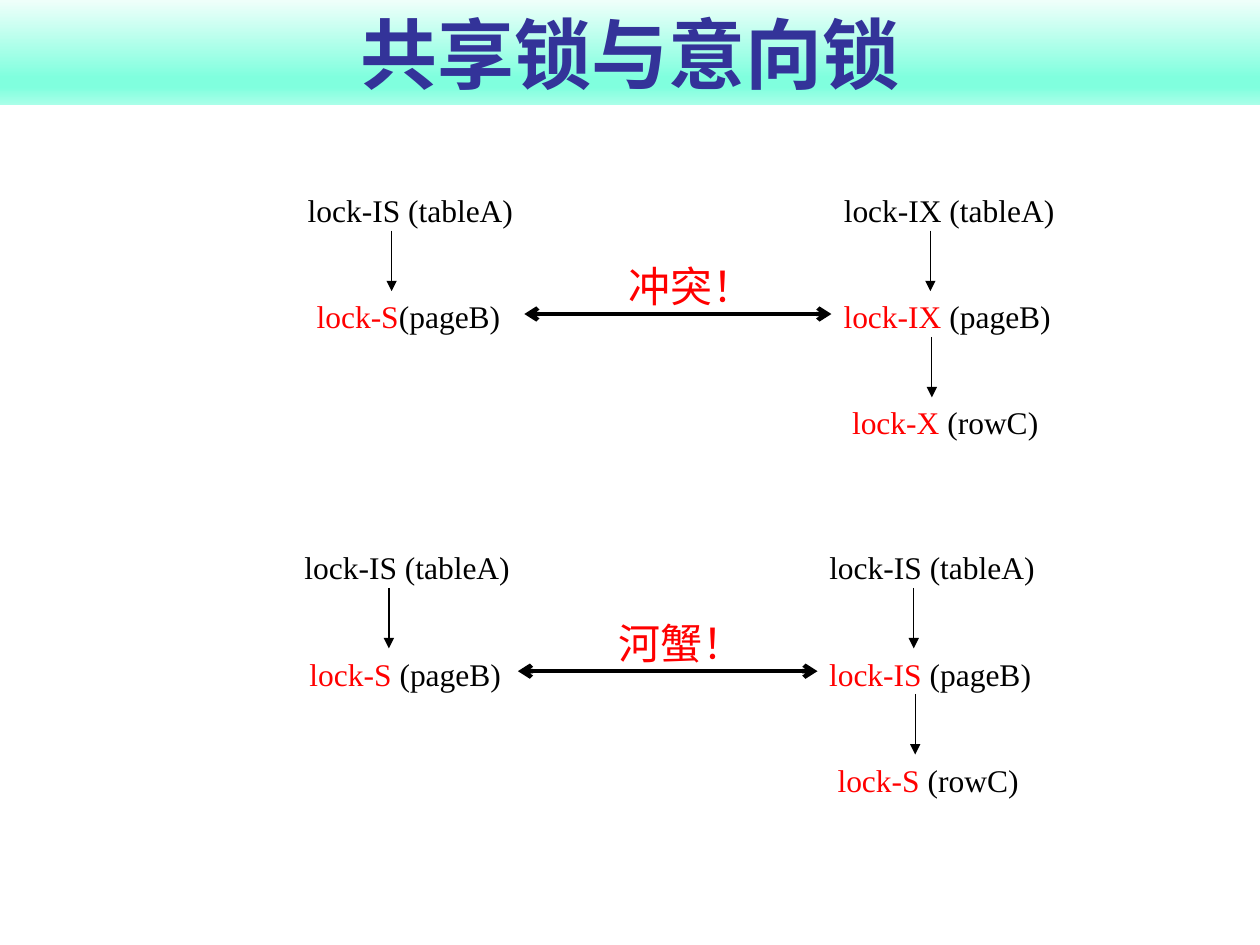
from lxml.etree import SubElement
from pptx import Presentation
from pptx.dml.color import RGBColor
from pptx.enum.shapes import MSO_CONNECTOR as Connector
from pptx.enum.text import MSO_ANCHOR as Anchor, MSO_AUTO_SIZE as AutoSize, PP_ALIGN as Align
from pptx.oxml.ns import qn
from pptx.util import Cm, Pt

BLACK = RGBColor(0x00, 0x00, 0x00)
RED = RGBColor(0xFF, 0x00, 0x00)
NAVY = RGBColor(0x33, 0x33, 0x99)
MINT = RGBColor(0x80, 0xFF, 0xDE)
BANNER_STOPS = [
    (0, RGBColor(0xF1, 0xFF, 0xFB)),
    (74, MINT),
    (83, MINT),
    (100, RGBColor(0xAA, 0xFF, 0xE9)),
]
SERIF = "Times New Roman"
SANS = "Cabin"
LINE_HEIGHT = 0.92
STEP = 2.14


def add_text(para, text, font=SERIF, size=18, color=BLACK, bold=False):
    para.alignment = Align.CENTER
    span = para.add_run()
    span.text = text
    span.font.name = font
    span.font.size = Pt(size)
    span.font.bold = bold
    span.font.color.rgb = color
    SubElement(span.font._element, qn("a:ea"), typeface=font)


def add_box(page, left, top, width, height, wrap=False):
    box = page.shapes.add_textbox(Cm(left), Cm(top), Cm(width), Cm(height))
    frame = box.text_frame
    frame.word_wrap = wrap
    frame.margin_left = frame.margin_right = Cm(0)
    return box


def add_arrow(page, start, end, width=0.75, head=None, tail="triangle"):
    arrow = page.shapes.add_connector(
        Connector.STRAIGHT, Cm(start[0]), Cm(start[1]), Cm(end[0]), Cm(end[1]))
    arrow.line.color.rgb = BLACK
    arrow.line.width = Pt(width)
    line = arrow.line._get_or_add_ln()
    if head:
        SubElement(line, qn("a:headEnd"), type=head)
    SubElement(line, qn("a:tailEnd"), type=tail)
    SubElement(arrow._element.spPr, qn("a:effectLst"))
    return arrow


def add_banner(page, text, left, top, width, height):
    title = page.shapes.title
    title.left, title.top, title.width, title.height = map(Cm, (left, top, width, height))
    gradient = SubElement(title._element.spPr, qn("a:gradFill"), rotWithShape="1")
    stops = SubElement(gradient, qn("a:gsLst"))
    for percent, color in BANNER_STOPS:
        stop = SubElement(stops, qn("a:gs"), pos=str(percent * 1000))
        SubElement(stop, qn("a:srgbClr"), val=str(color))
    SubElement(gradient, qn("a:lin"), ang="5400000", scaled="0")
    frame = title.text_frame
    frame.auto_size = AutoSize.NONE
    frame.vertical_anchor = Anchor.BOTTOM
    add_text(frame.paragraphs[0], text, font=SANS, size=44, color=NAVY, bold=True)


def add_lock_chain(page, left, top, width, locks):
    boxes = []
    for row, (lock, target) in enumerate(locks):
        y = top + row * STEP
        box = add_box(page, left, y, width - row * 0.08, LINE_HEIGHT)
        para = box.text_frame.paragraphs[0]
        add_text(para, lock, color=RED if row else BLACK)
        add_text(para, target)
        if row:
            x = left + width * 0.42 + (row - 1) * 0.03
            add_arrow(page, (x, y - STEP + LINE_HEIGHT), (x, y))
        boxes.append(box)
    return boxes


def add_comparison(page, left, top, right, width, verdict, left_locks, right_locks):
    left_page = add_lock_chain(page, left, top, width, left_locks)[1]
    right_page = add_lock_chain(page, right, top, width, right_locks)[1]
    middle = top + STEP + LINE_HEIGHT / 2
    link = add_arrow(page, (left + width, middle), (right, middle),
                     width=2.5, head="arrow", tail="arrow")
    link.begin_connect(left_page, 3)
    link.end_connect(right_page, 1)
    label_width = width * 0.8
    label_left = (left + width + right) / 2 - label_width / 2 + 0.23
    label = add_box(page, label_left, middle - 1.2, label_width, 1.27, wrap=True)
    add_text(label.text_frame.paragraphs[0], verdict, font=SANS, size=24, color=RED)


def main():
    deck = Presentation()
    deck.slide_width, deck.slide_height = Cm(25.4), Cm(19.05)
    page = deck.slides.add_slide(deck.slide_layouts[5])
    add_banner(page, "共享锁与意向锁", 0, -0.02, 25.4, 2.14)
    add_comparison(
        page, 5.9, 3.73, 16.76, 4.75, "冲突！",
        [("lock-IS", " (tableA)"), ("lock-S", "(pageB)")],
        [("lock-IX", " (tableA)"), ("lock-IX", " (pageB)"), ("lock-X", " (rowC)")])
    add_comparison(
        page, 5.9, 10.93, 16.48, 4.62, "河蟹！",
        [("lock-IS", " (tableA)"), ("lock-S", " (pageB)")],
        [("lock-IS", " (tableA)"), ("lock-IS", " (pageB)"), ("lock-S", " (rowC)")])
    deck.save("out.pptx")


if __name__ == "__main__":
    main()
